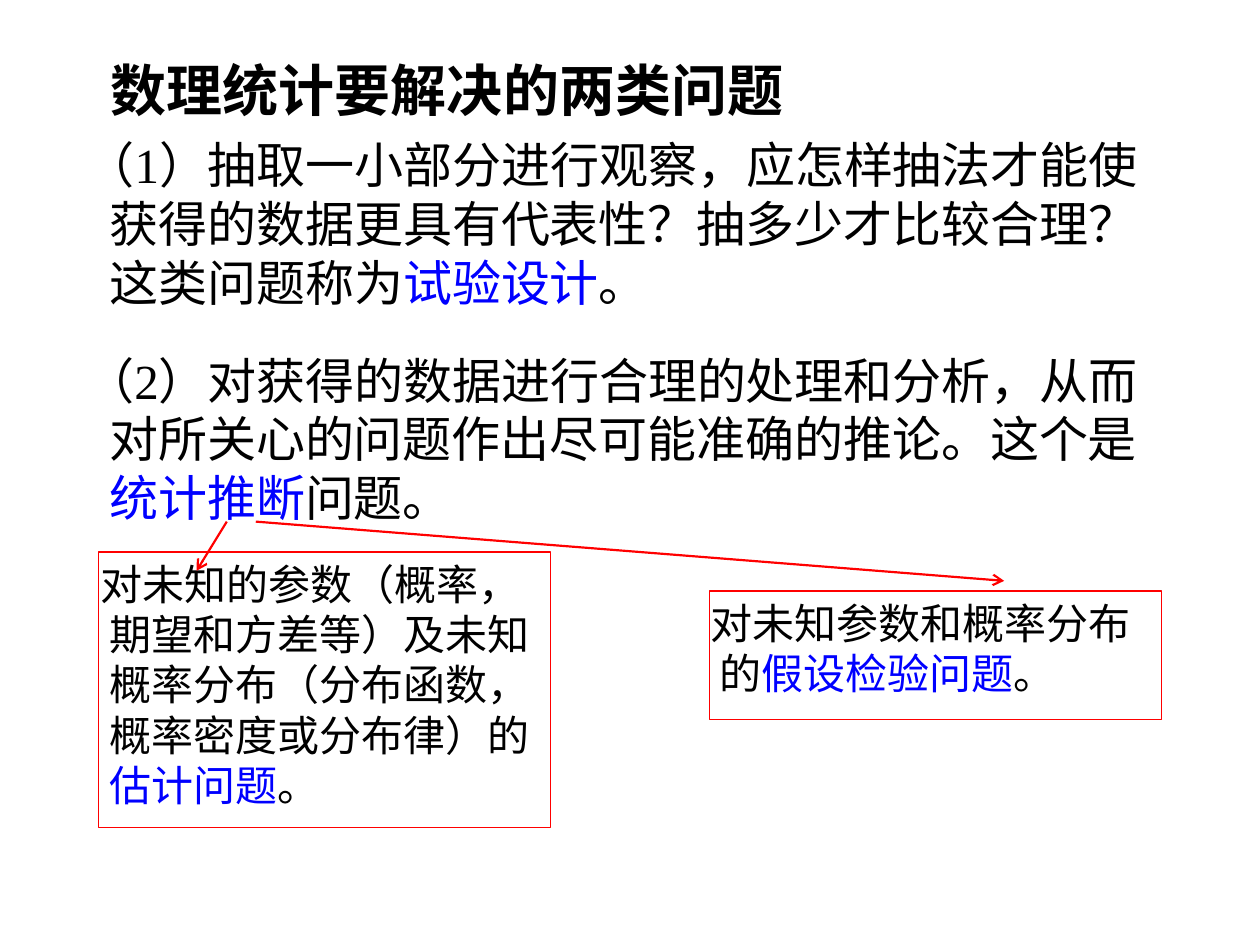
from lxml import etree
from pptx import Presentation
from pptx.dml.color import RGBColor
from pptx.enum import shapes, text
from pptx.oxml import ns
from pptx.util import Inches, Pt

COLORS = {"text": "000000", "key": "0000FF", "mark": "FF0000"}
FONT = "Times New Roman"


def fill_text(shape, runs, size, first_line=0, margin=0, bold=False,
              anchor=text.MSO_ANCHOR.TOP):
    """Write one left-aligned paragraph made of (wording, colour) runs."""
    frame = shape.text_frame
    frame_format = {"word_wrap": True, "auto_size": text.MSO_AUTO_SIZE.NONE,
                    "vertical_anchor": anchor,
                    "margin_left": Inches(0.1), "margin_right": Inches(0.1),
                    "margin_top": Inches(0.05), "margin_bottom": Inches(0.05)}
    for name, value in frame_format.items():
        setattr(frame, name, value)
    paragraph = frame.paragraphs[0]
    properties = paragraph._p.get_or_add_pPr()
    properties.set("marL", str(Inches(margin)))
    properties.set("indent", str(Inches(first_line)))
    etree.SubElement(properties, ns.qn("a:buNone"))
    paragraph.alignment = text.PP_ALIGN.LEFT
    paragraph.space_before = Pt(0)
    for wording, color in runs:
        run = paragraph.add_run()
        run.text = wording
        for name, value in {"name": FONT, "size": Pt(size), "bold": bold}.items():
            setattr(run.font, name, value)
        run.font.color.rgb = RGBColor.from_string(COLORS[color])


def place(shape, *box):
    """Move a shape to left, top, width, height in inches."""
    for name, value in zip(("left", "top", "width", "height"), box):
        setattr(shape, name, Inches(value))


presentation = Presentation()
presentation.slide_width = Inches(10)
presentation.slide_height = Inches(7.5)
slide = presentation.slides.add_slide(presentation.slide_layouts[1])

# Title
title = slide.shapes.title
place(title, 0.78, 0.16, 5.61, 1.09)
fill_text(title, [("数理统计要解决的两类问题", "text")], 32, bold=True,
          anchor=text.MSO_ANCHOR.MIDDLE)

# First problem: design of experiments
design = slide.placeholders[1]
place(design, 0.39, 1.02, 9, 1.72)
fill_text(design, [
    ("（1）抽取一小部分进行观察，应怎样抽法才能使获得的数据更具有代表性？"
     "抽多少才比较合理？这类问题称为", "text"),
    ("试验设计", "key"), ("。", "text")], 28, first_line=-0.19, margin=0.38)

# Second problem and its two branches: box, size, first-line indent, runs
text_boxes = [
    ((0.39, 2.73, 9, 1.56), 28, -0.19, [
        ("（2）对获得的数据进行合理的处理和分析，从而对所关心的问题作出"
         "尽可能准确的推论。这个是", "text"),
        ("统计推断", "key"), ("问题。", "text")]),
    ((0.39, 4.38, 4.14, 2.27), 24, -0.07, [
        ("对未知的参数（概率，期望和方差等）及未知概率分布（分布函数，"
         "概率密度或分布律）的", "text"),
        ("估计问题", "key"), ("。", "text")]),
    ((5.23, 4.69, 4.14, 1.09), 24, -0.07, [
        ("对未知参数和概率分布的", "text"),
        ("假设检验问题", "key"), ("。", "text")]),
]
for box, size, first_line, runs in text_boxes:
    text_box = slide.shapes.add_textbox(*map(Inches, box))
    fill_text(text_box, runs, size, first_line, margin=0.38)

# Frames around the two branches
for box in [(0.78, 4.38, 3.59, 2.19), (5.63, 4.69, 3.59, 1.02)]:
    frame = slide.shapes.add_shape(shapes.MSO_SHAPE.RECTANGLE, *map(Inches, box))
    frame.shadow.inherit = False
    frame.fill.background()
    frame.line.color.rgb = RGBColor.from_string(COLORS["mark"])
    frame.line.width = Pt(0.75)

# Arrows from statistical inference to its branches
for ends in [(1.8, 4.14, 1.56, 4.53), (2.03, 4.14, 7.97, 4.61)]:
    arrow = slide.shapes.add_connector(shapes.MSO_CONNECTOR.STRAIGHT,
                                       *map(Inches, ends))
    arrow.line.color.rgb = RGBColor.from_string(COLORS["mark"])
    arrow.line.width = Pt(1.25)
    etree.SubElement(arrow.line._get_or_add_ln(), ns.qn("a:tailEnd"), type="arrow")
    etree.SubElement(arrow._element.spPr, ns.qn("a:effectLst"))

presentation.save("out.pptx")
